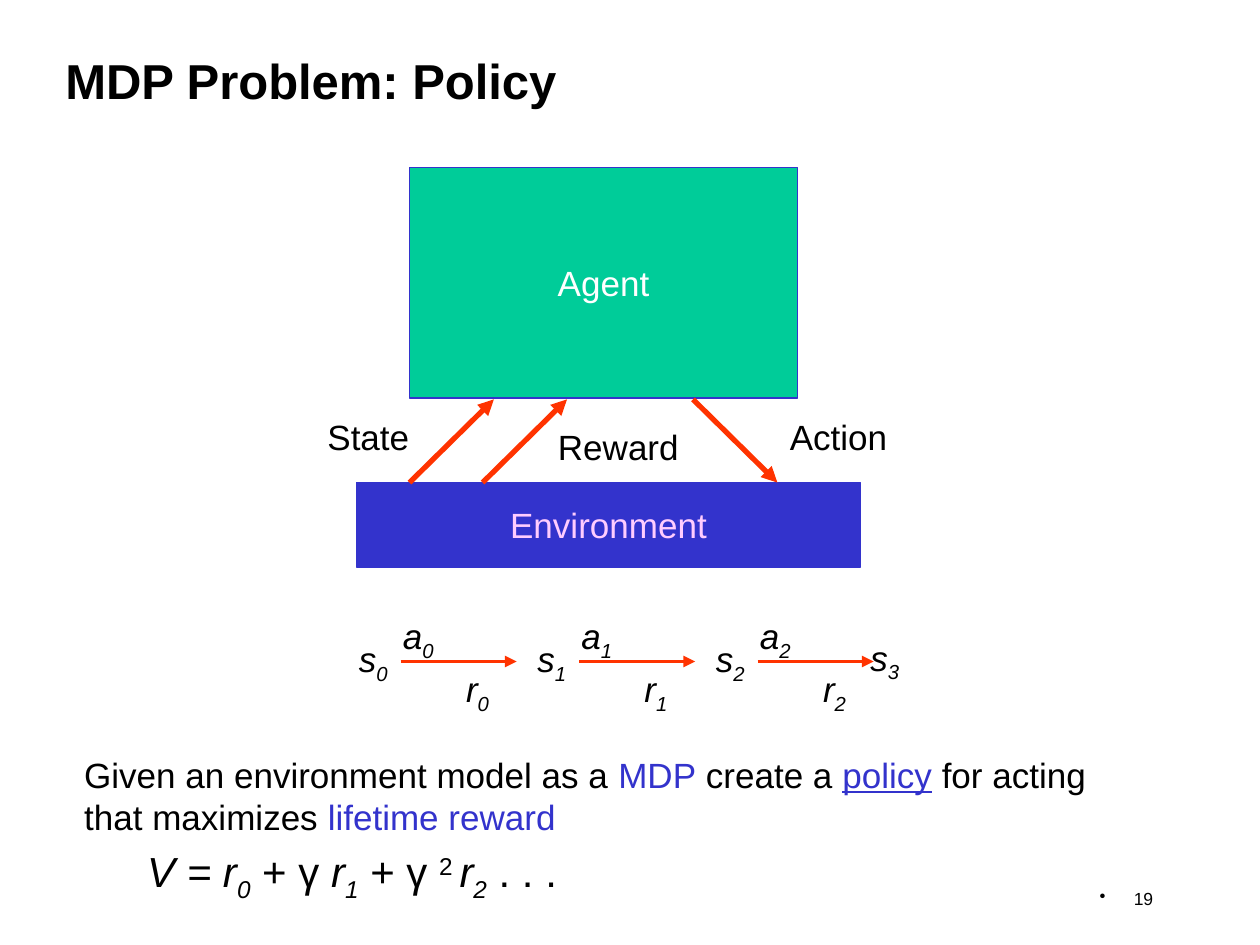
"""Build the slide on the MDP policy problem."""
import pptx
import pptx.dml.color
import pptx.enum.shapes
import pptx.enum.text
import pptx.oxml.xmlchemy
import pptx.util

Inches = pptx.util.Inches
Pt = pptx.util.Pt
Align = pptx.enum.text.PP_ALIGN
Anchor = pptx.enum.text.MSO_ANCHOR
Element = pptx.oxml.xmlchemy.OxmlElement
BLACK, BLUE, GREEN, RED = "000000", "3333CC", "00CC99", "FF3300"


def hue(code):
    return pptx.dml.color.RGBColor.from_string(code)


def write(para, parts, size=20):
    for text, style in parts:
        run = para.add_run()
        run.text = text
        font = run.font
        font.name = "Arial"
        font.size = Pt(size)
        font.color.rgb = hue(style.get("tint", BLACK))
        font.bold = style.get("bold", False)
        font.italic = style.get("slant", False)
        font.underline = style.get("under", False)
        if "base" in style:
            run._r.get_or_add_rPr().set("baseline", str(style["base"] * 1000))


deck = pptx.Presentation()
deck.slide_width, deck.slide_height = Inches(10), Inches(7.5)
slide = deck.slides.add_slide(deck.slide_layouts[6])
shapes = slide.shapes

plain = {}
blue = {"tint": BLUE}
slant = {"slant": True}
sub = {"slant": True, "base": -25}

title = shapes.add_textbox(Inches(0.42), Inches(0.17), Inches(8.5), Inches(0.92))
title.text_frame.word_wrap = True
title.text_frame.vertical_anchor = Anchor.MIDDLE
write(title.text_frame.paragraphs[0], [("MDP Problem: Policy", {"bold": True})], 28)

blocks = [
    ("Agent", 3.25, 1.33, 3.08, 1.83, GREEN, "FFFFFF"),
    ("Environment", 2.83, 3.83, 4, 0.67, BLUE, "FFCCFF"),
]
for name, x, y, wide, high, back, tint in blocks:
    block = shapes.add_shape(
        pptx.enum.shapes.MSO_SHAPE.RECTANGLE,
        Inches(x), Inches(y), Inches(wide), Inches(high))
    block.shadow.inherit = False
    block.fill.solid()
    block.fill.fore_color.rgb = hue(back)
    block.line.color.rgb = hue(BLUE)
    block.line.width = Pt(0.75)
    block.text_frame.word_wrap = False
    block.text_frame.vertical_anchor = Anchor.MIDDLE
    para = block.text_frame.paragraphs[0]
    para.alignment = Align.CENTER
    write(para, [(name, {"tint": tint})])

labels = [
    ([("State", plain)], 2.5, 3.25, 0.85),
    ([("Reward", plain)], 4.33, 3.33, 1.16),
    ([("Action", plain)], 6.17, 3.25, 0.97),
    ([("s", slant), ("3", sub)], 6.81, 5, 0.44),
]
arrows = [
    (3.25, 3.83, 3.92, 3.17, 3),
    (3.83, 3.83, 4.5, 3.17, 3),
    (5.5, 3.17, 6.17, 3.83, 3),
]
for step in range(3):
    left = 2.75 + step * 17 / 12
    for name, shift, y, wide in [
        ("s", 0, 5.01, 0.44), ("a", 0.35, 4.83, 0.46), ("r", 0.85, 5.25, 0.39),
    ]:
        labels.append(([(name, slant), (str(step), sub)], left + shift, y, wide))
    arrows.append((left + 0.43, 5.25, left + 1.35, 5.25, 2.25))

for parts, x, y, wide in labels:
    label = shapes.add_textbox(Inches(x), Inches(y), Inches(wide), Inches(0.43))
    label.text_frame.word_wrap = False
    write(label.text_frame.paragraphs[0], parts)

for x, y, right, low, width in arrows:
    arrow = shapes.add_connector(
        pptx.enum.shapes.MSO_CONNECTOR.STRAIGHT,
        Inches(x), Inches(y), Inches(right), Inches(low))
    arrow.line.color.rgb = hue(RED)
    arrow.line.width = Pt(width)
    head = Element("a:tailEnd")
    head.set("type", "triangle")
    arrow.line._get_or_add_ln().append(head)
    arrow._element.spPr.append(Element("a:effectLst"))

goal = shapes.add_textbox(Inches(0.57), Inches(5.93), Inches(8.27), Inches(1.25))
goal.text_frame.word_wrap = True
write(goal.text_frame.paragraphs[0], [
    ("Given an environment model as a ", plain),
    ("MDP", blue),
    (" create a ", plain),
    ("policy", {"tint": BLUE, "under": True}),
    (" for acting that maximizes ", plain),
    ("lifetime reward", blue),
])
value = goal.text_frame.add_paragraph()
value.level = 1
value.space_before = Pt(4.8)
props = value._p.get_or_add_pPr()
props.set("marL", str(Inches(0.5)))
props.set("indent", "0")
write(value, [
    ("V = r", slant), ("0", sub),
    (" + γ ", plain), ("r", slant), ("1", sub),
    (" + γ ", plain), ("2 ", {"base": 30}), ("r", slant), ("2", sub),
    (" . . .", plain),
], 24)

number = shapes.add_textbox(Inches(6.83), Inches(7), Inches(2.42), Inches(0.33))
number.text_frame.word_wrap = True
para = number.text_frame.paragraphs[0]
para.alignment = Align.RIGHT
props = para._p.get_or_add_pPr()
props.set("marL", str(Inches(0.27)))
props.set("indent", str(-Inches(0.27)))
dot = Element("a:buChar")
dot.set("char", "•")
props.append(dot)
write(para, [("19", plain)], 10)

deck.save("out.pptx")
